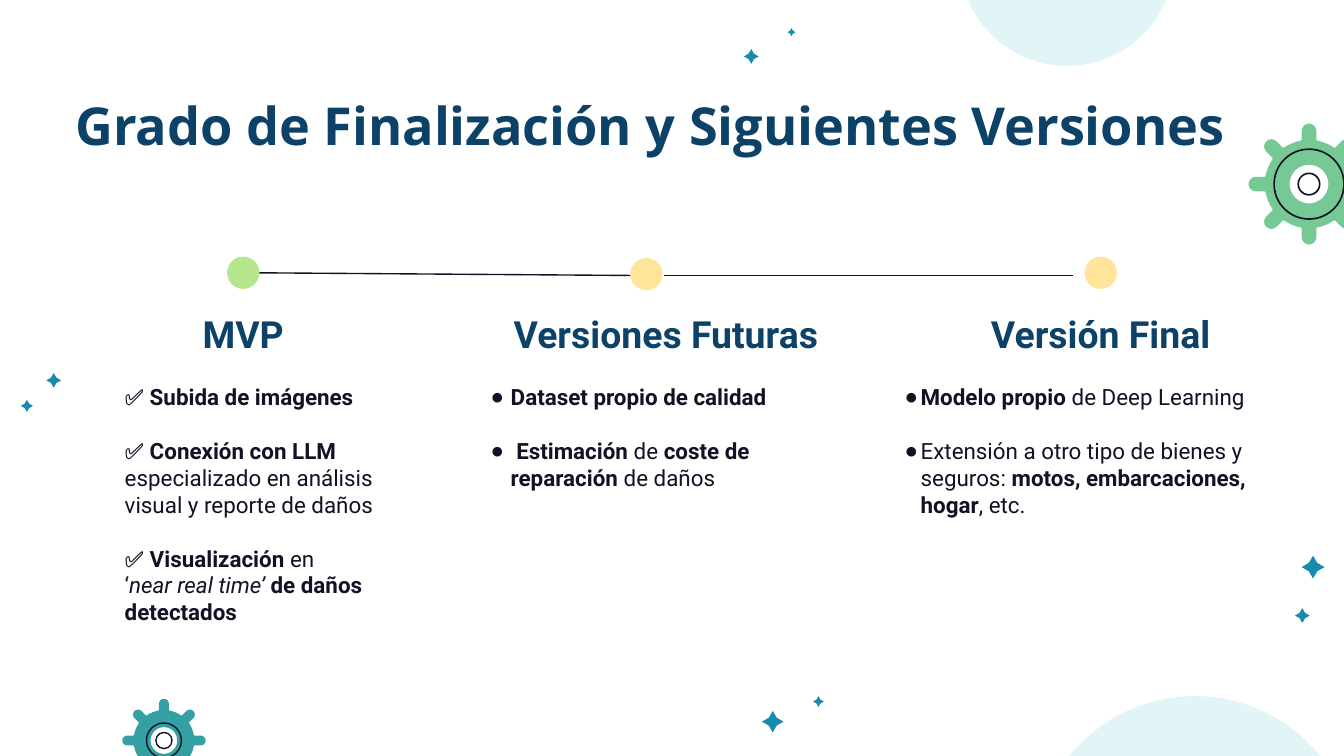
from math import cos, sin, pi
from lxml.etree import SubElement
from pptx import Presentation
from pptx.dml.color import RGBColor
from pptx.enum.shapes import MSO_CONNECTOR, MSO_SHAPE
from pptx.enum.text import MSO_ANCHOR, MSO_AUTO_SIZE, PP_ALIGN
from pptx.oxml.ns import qn
from pptx.util import Inches, Pt

COLORS = {
    "navy": "0C4168", "ink": "111325", "blue": "168BAE", "pale": "E1F5F7",
    "leaf": "76C894", "teal": "34A0A3", "lime": "B5E58C", "sand": "FFE599",
}


class Deck:
    head_font = "Open Sans"
    text_font = "Roboto"
    margin = Inches(0.1)

    def __init__(self, slide):
        self.slide = slide
        self.shapes = slide.shapes

    def color(self, name):
        return RGBColor.from_string(COLORS[name])

    def paint(self, shape, fill=None, line=None, width=0.75):
        shape.shadow.inherit = False
        if fill:
            shape.fill.solid()
            shape.fill.fore_color.rgb = self.color(fill)
        else:
            shape.fill.background()
        if line:
            shape.line.color.rgb = self.color(line)
            shape.line.width = Pt(width)
        else:
            shape.line.fill.background()

    def round(self, x, y, radius, **style):
        size = Inches(2 * radius)
        shape = self.shapes.add_shape(
            MSO_SHAPE.OVAL, Inches(x - radius), Inches(y - radius), size, size)
        self.paint(shape, **style)

    def star(self, x, y, size):
        shape = self.shapes.add_shape(
            MSO_SHAPE.STAR_4_POINT, Inches(x - size / 2), Inches(y - size / 2),
            Inches(size), Inches(size))
        shape.adjustments[0] = 0.26
        self.paint(shape, "blue")

    def gear(self, x, y, tip, fill, rings, width):
        body, half, hole = tip * 0.73, tip * 0.12, tip * 0.32

        def spot(across, out, turn):
            return (Inches(x + across * cos(turn) - out * sin(turn)),
                    Inches(y + across * sin(turn) + out * cos(turn)))

        rim = []
        for tooth in range(8):
            turn = tooth * pi / 4
            rim.append(spot(half, body, turn))
            for step in range(9):
                arc = step * pi / 8
                rim.append(spot(half * cos(arc), tip - half + half * sin(arc), turn))
            rim.append(spot(-half, body, turn))
            rim += [spot(0, body, turn + pi / 4 * part / 8) for part in range(2, 7)]
        inner = [spot(0, hole, -step * pi / 24) for step in range(48)]
        builder = self.shapes.build_freeform(*rim[0])
        builder.add_line_segments(rim[1:])
        builder.move_to(*inner[0])
        builder.add_line_segments(inner[1:])
        self.paint(builder.convert_to_shape(), fill)
        for radius in rings:
            self.round(x, y, radius, line="ink", width=width)

    def link(self, x1, y1, x2, y2):
        line = self.shapes.add_connector(
            MSO_CONNECTOR.STRAIGHT, Inches(x1), Inches(y1), Inches(x2), Inches(y2))
        line.line.color.rgb = self.color("ink")
        line.line.width = Pt(0.75)
        SubElement(line._element.spPr, qn("a:effectLst"))

    def place(self, shape, left, top, width, height, anchor=MSO_ANCHOR.TOP):
        shape.left, shape.top = Inches(left), Inches(top)
        shape.width, shape.height = Inches(width), Inches(height)
        frame = shape.text_frame
        frame.word_wrap = True
        frame.auto_size = MSO_AUTO_SIZE.NONE
        frame.vertical_anchor = anchor
        frame.margin_left = frame.margin_right = self.margin
        frame.margin_top = frame.margin_bottom = self.margin
        return frame

    def format(self, run, size, font, color, style="b"):
        run.font.size = Pt(size)
        run.font.name = font
        run.font.color.rgb = self.color(color)
        run.font.bold = "b" in style
        run.font.italic = "i" in style

    def title(self, text, *box):
        frame = self.place(self.shapes.title, *box)
        frame.text = text
        frame.paragraphs[0].alignment = PP_ALIGN.LEFT
        self.format(frame.paragraphs[0].runs[0], 28, self.head_font, "navy")

    def label(self, text, *box):
        shape = self.shapes.add_textbox(0, 0, 0, 0)
        frame = self.place(shape, *box, anchor=MSO_ANCHOR.BOTTOM)
        frame.text = text
        frame.paragraphs[0].alignment = PP_ALIGN.CENTER
        self.format(frame.paragraphs[0].runs[0], 20, self.text_font, "navy")

    def bullet(self, para, indent):
        props = para._p.get_or_add_pPr()
        props.set("marL", str(Inches(indent)))
        props.set("indent", str(Inches(-0.15)))
        tint = SubElement(props, qn("a:buClr"))
        SubElement(tint, qn("a:srgbClr")).set("val", COLORS["ink"])
        SubElement(props, qn("a:buChar")).set("char", "●")

    def list(self, shape, items, box, indent=None):
        frame = self.place(shape, *box)
        for index, item in enumerate(items):
            para = frame.add_paragraph() if index else frame.paragraphs[0]
            if indent is not None:
                self.bullet(para, indent)
            para.space_before = Pt(14.5 if index else 0)
            for text, style in item:
                run = para.add_run()
                run.text = text
                self.format(run, 12, self.text_font, "ink", style)
        return frame


def main():
    prs = Presentation()
    prs.slide_width = Inches(10)
    prs.slide_height = prs.slide_width * 9 // 16
    deck = Deck(prs.slides.add_slide(prs.slide_layouts[3]))
    future, final = list(deck.slide.placeholders)[1:]

    for star in [(5.75, 5.37, 0.16), (6.09, 5.22, 0.08), (9.77, 4.22, 0.17),
                 (9.69, 4.58, 0.11), (0.2, 3.02, 0.09), (0.4, 2.83, 0.11),
                 (5.59, 0.42, 0.11), (5.89, 0.24, 0.06)]:
        deck.star(*star)
    deck.round(8.89, 6.38, 1.2, fill="pale")
    deck.round(7.94, -0.31, 0.8, fill="pale")
    deck.gear(9.74, 1.37, 0.45, "leaf", (0.08, 0.26), 0.87)
    deck.gear(1.22, 5.51, 0.31, "teal", (0.06, 0.13), 0.75)

    deck.title("Grado de Finalización y Siguientes Versiones", 0.46, 0.59, 9.72, 0.63)
    for text, left, width in [("MVP", 0.79, 2.04), ("Versiones Futuras", 3.6, 2.71),
                              ("Versión Final", 7.17, 2.04)]:
        deck.label(text, left, 2.28, width, 0.47)
    for x, y, fill in [(1.81, 2.03, "lime"), (4.81, 2.04, "sand"), (8.19, 2.03, "sand")]:
        deck.round(x, y, 0.12, fill=fill)
    deck.link(1.93, 2.03, 4.69, 2.05)
    deck.link(4.94, 2.05, 7.98, 2.05)

    done = deck.list(deck.shapes.add_textbox(0, 0, 0, 0), [
        [("✅ ", ""), ("Subida de imágenes", "b")],
        [("✅ Conexión con LLM ", "b"),
         ("especializado en análisis visual y reporte de daños", "")],
        [("✅ ", ""), ("Visualización ", "b"), ("en", "")],
        [("‘", ""), ("near real time’ ", "i"), ("de daños detectados", "b")],
    ], (0.83, 2.75, 2.23, 1.96))
    done.paragraphs[-1].space_before = Pt(0)
    deck.list(future, [
        [("Dataset propio de calidad", "b")],
        [(" ", ""), ("Estimación ", "b"), ("de", ""),
         (" coste de reparación ", "b"), ("de daños", "")],
    ], (3.51, 2.75, 2.71, 2.07), 0.19)
    deck.list(final, [
        [("Modelo propio", "b"), (" de Deep Learning", "")],
        [("Extensión a otro tipo de bienes y seguros: ", ""),
         ("motos, embarcaciones, hogar", "b"), (", etc.", "")],
    ], (6.63, 2.75, 3.04, 2.74), 0.12)
    prs.save("out.pptx")


if __name__ == "__main__":
    main()
